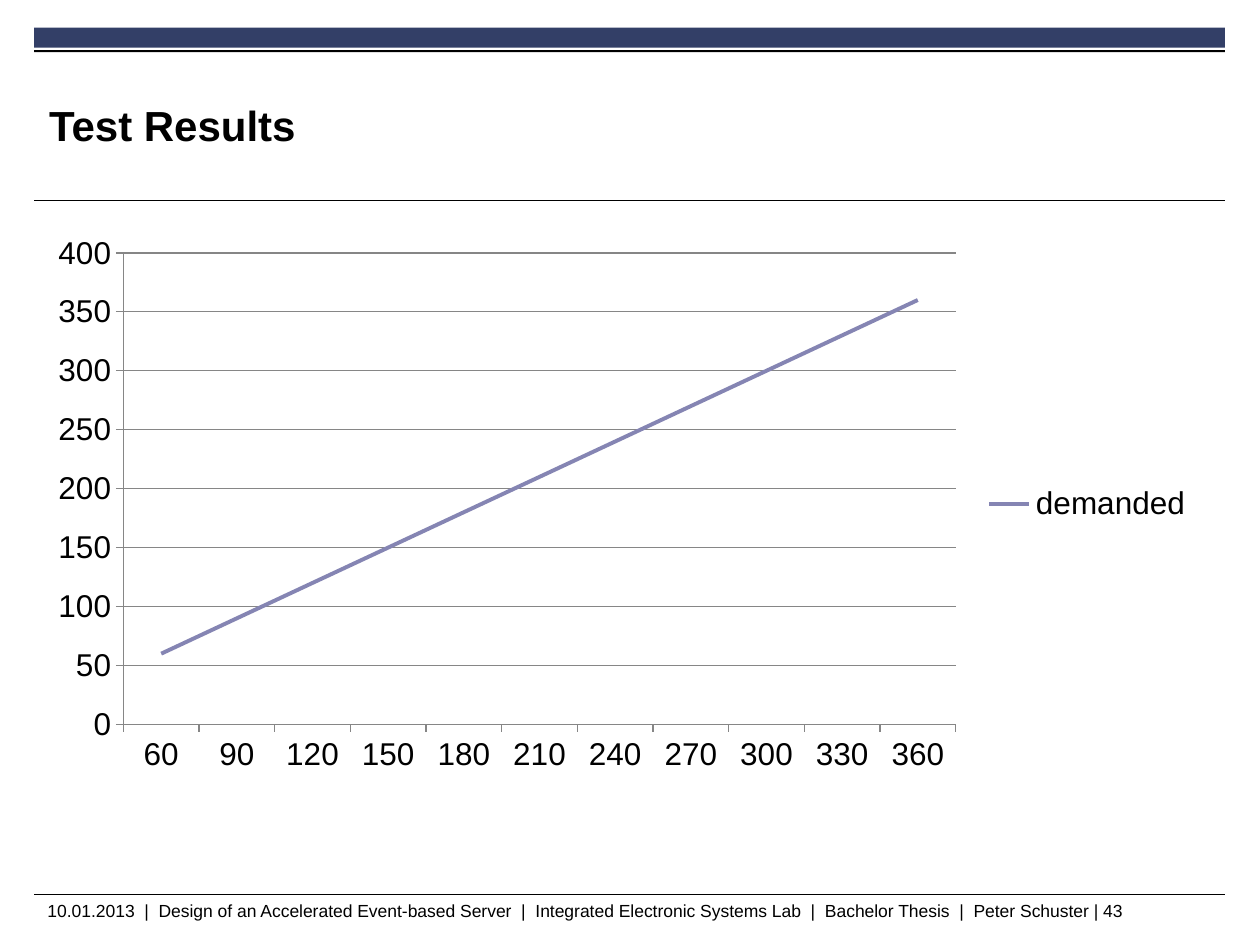
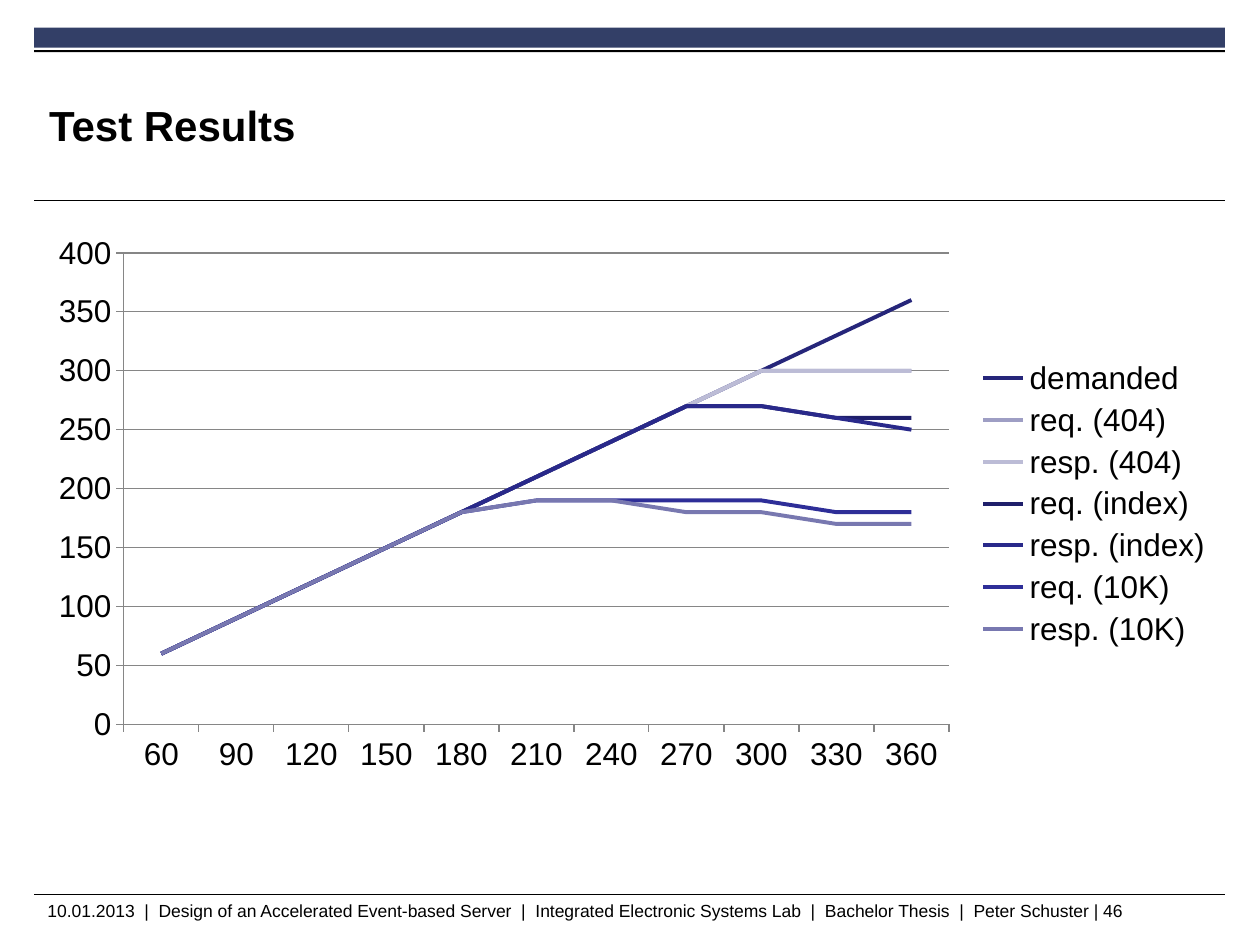
from lxml.etree import SubElement
from pptx import Presentation
from pptx.chart.data import CategoryChartData
from pptx.dml.color import RGBColor
from pptx.enum.chart import XL_CHART_TYPE, XL_LEGEND_POSITION, XL_MARKER_STYLE, XL_TICK_MARK
from pptx.enum.shapes import MSO_CONNECTOR, MSO_SHAPE
from pptx.enum.text import MSO_ANCHOR, PP_ALIGN
from pptx.oxml.ns import qn
from pptx.util import Pt

BLACK = RGBColor(0x00, 0x00, 0x00)
NAVY = RGBColor(0x33, 0x3F, 0x67)
GREY = RGBColor(0x86, 0x86, 0x86)
LAVENDER = RGBColor(0x85, 0x85, 0xB3)
INDIGO = RGBColor(0x26, 0x26, 0x7A)
LILAC = RGBColor(0x9E, 0x9E, 0xC4)
PALE = RGBColor(0xBC, 0xBC, 0xD6)
MIDNIGHT = RGBColor(0x1F, 0x1F, 0x6B)
ULTRAMARINE = RGBColor(0x29, 0x29, 0x8A)
VIOLET = RGBColor(0x2E, 0x2E, 0x98)
MAUVE = RGBColor(0x78, 0x78, 0xB0)

FONT = "Arial"
LEFT, WIDTH = 19.5, 680.4
FOOTER_TOP = 511.2
FOOTER_PARTS = ["10.01.2013", "Design of an Accelerated Event-based Server",
                "Integrated Electronic Systems Lab", "Bachelor Thesis", "Peter Schuster"]

DEMANDED = list(range(60, 361, 30))
MEASURED = [
    ("req. (404)", DEMANDED[:9] + [300, 300], LILAC),
    ("resp. (404)", DEMANDED[:9] + [300, 300], PALE),
    ("req. (index)", DEMANDED[:8] + [270, 260, 260], MIDNIGHT),
    ("resp. (index)", DEMANDED[:8] + [270, 260, 250], ULTRAMARINE),
    ("req. (10K)", DEMANDED[:5] + [190, 190, 190, 190, 180, 180], VIOLET),
    ("resp. (10K)", DEMANDED[:5] + [190, 190, 180, 180, 170, 170], MAUVE),
]


def add_bar(slide, top, height, color):
    """Add a filled bar across the slide."""
    sp = slide.shapes.add_shape(MSO_SHAPE.RECTANGLE, Pt(LEFT), Pt(top), Pt(WIDTH), Pt(height))
    sp.shadow.inherit = False
    sp.fill.solid()
    sp.fill.fore_color.rgb = color
    sp.line.fill.background()


def add_rule(slide, top):
    """Add a thin horizontal line across the slide."""
    line = slide.shapes.add_connector(
        MSO_CONNECTOR.STRAIGHT, Pt(LEFT), Pt(top), Pt(LEFT + WIDTH), Pt(top))
    line.line.color.rgb = BLACK
    line.line.width = Pt(0.6)
    SubElement(line.element.spPr, qn("a:effectLst"))


def write_text(tf, text, size, bold=False):
    """Write one left-aligned run in the middle of a text frame."""
    tf.vertical_anchor = MSO_ANCHOR.MIDDLE
    tf.word_wrap = True
    p = tf.paragraphs[0]
    p.alignment = PP_ALIGN.LEFT
    r = p.add_run()
    r.text = text
    r.font.name = FONT
    r.font.size = Pt(size)
    r.font.bold = bold
    r.font.color.rgb = BLACK


def add_title(slide, text):
    """Place and fill the title placeholder."""
    sp = slide.shapes.title
    sp.left, sp.top, sp.width, sp.height = Pt(28), Pt(38), Pt(541.5), Pt(66.5)
    tf = sp.text_frame
    tf.margin_left = tf.margin_top = tf.margin_right = tf.margin_bottom = 0
    write_text(tf, text, 24, bold=True)


def add_footer(slide, number):
    """Add the footer line with the slide number."""
    sp = slide.shapes.add_textbox(Pt(LEFT + 0.5), Pt(FOOTER_TOP), Pt(WIDTH), Pt(18))
    write_text(sp.text_frame, f"{'  |  '.join(FOOTER_PARTS)} | {number}", 10)


def style_axis(axis):
    """Give an axis a grey line and outside ticks."""
    axis.format.line.color.rgb = GREY
    axis.format.line.width = Pt(0.75)
    axis.major_tick_mark = XL_TICK_MARK.OUTSIDE
    axis.minor_tick_mark = XL_TICK_MARK.NONE


def add_line_chart(slide, width, series):
    """Add a line chart of (name, values, color) series."""
    data = CategoryChartData()
    data.categories = [str(rate) for rate in DEMANDED]
    for name, values, _ in series:
        data.add_series(name, values)
    chart = slide.shapes.add_chart(
        XL_CHART_TYPE.LINE, Pt(20), Pt(128), Pt(width), Pt(319.7), data).chart
    chart.font.name = FONT
    chart.font.size = Pt(18)
    chart.font.color.rgb = BLACK
    chart.has_title = False
    chart.has_legend = True
    chart.legend.position = XL_LEGEND_POSITION.RIGHT
    chart.legend.include_in_layout = False
    style_axis(chart.category_axis)
    style_axis(chart.value_axis)
    chart.value_axis.minimum_scale = 0
    chart.value_axis.maximum_scale = 400
    chart.value_axis.major_unit = 50
    grid = chart.value_axis.major_gridlines.format.line
    grid.color.rgb = GREY
    grid.width = Pt(0.75)
    plot = chart.plots[0]
    plot.vary_by_categories = False
    for curve, (_, _, color) in zip(plot.series, series):
        curve.smooth = False
        curve.marker.style = XL_MARKER_STYLE.NONE
        curve.format.line.color.rgb = color
        curve.format.line.width = Pt(2.25)


def add_results_slide(prs, number, chart_width, series):
    """Add a framed slide with a chart of test results."""
    slide = prs.slides.add_slide(prs.slide_layouts[5])
    add_bar(slide, 15.8, 11.5, NAVY)
    add_bar(slide, 28.6, 1.3, BLACK)
    add_rule(slide, 114.5)
    add_rule(slide, FOOTER_TOP)
    add_footer(slide, number)
    add_title(slide, "Test Results")
    add_line_chart(slide, chart_width, series)


def main():
    """Build and save the presentation."""
    prs = Presentation()
    prs.slide_width, prs.slide_height = Pt(720), Pt(540)
    add_results_slide(prs, 43, 669, [("demanded", DEMANDED, LAVENDER)])
    add_results_slide(prs, 46, WIDTH, [("demanded", DEMANDED, INDIGO)] + MEASURED)
    prs.save("out.pptx")


if __name__ == "__main__":
    main()
